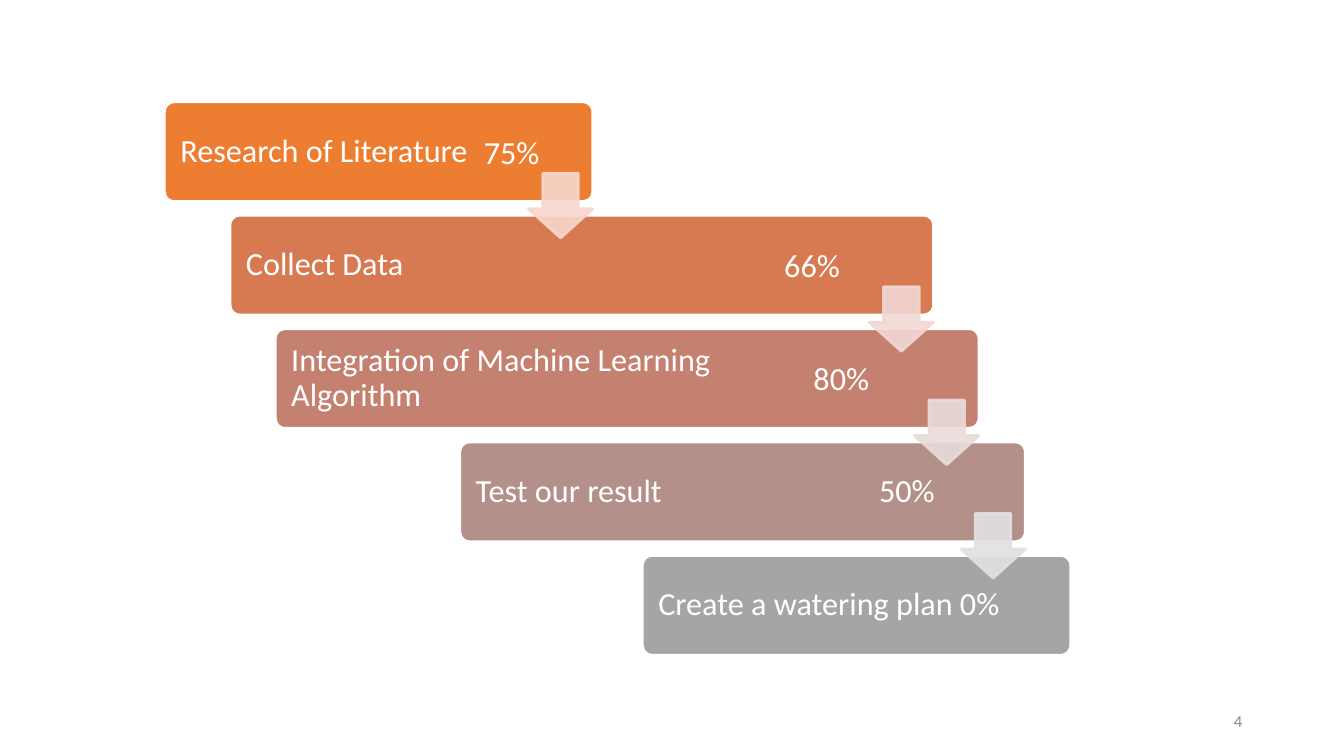
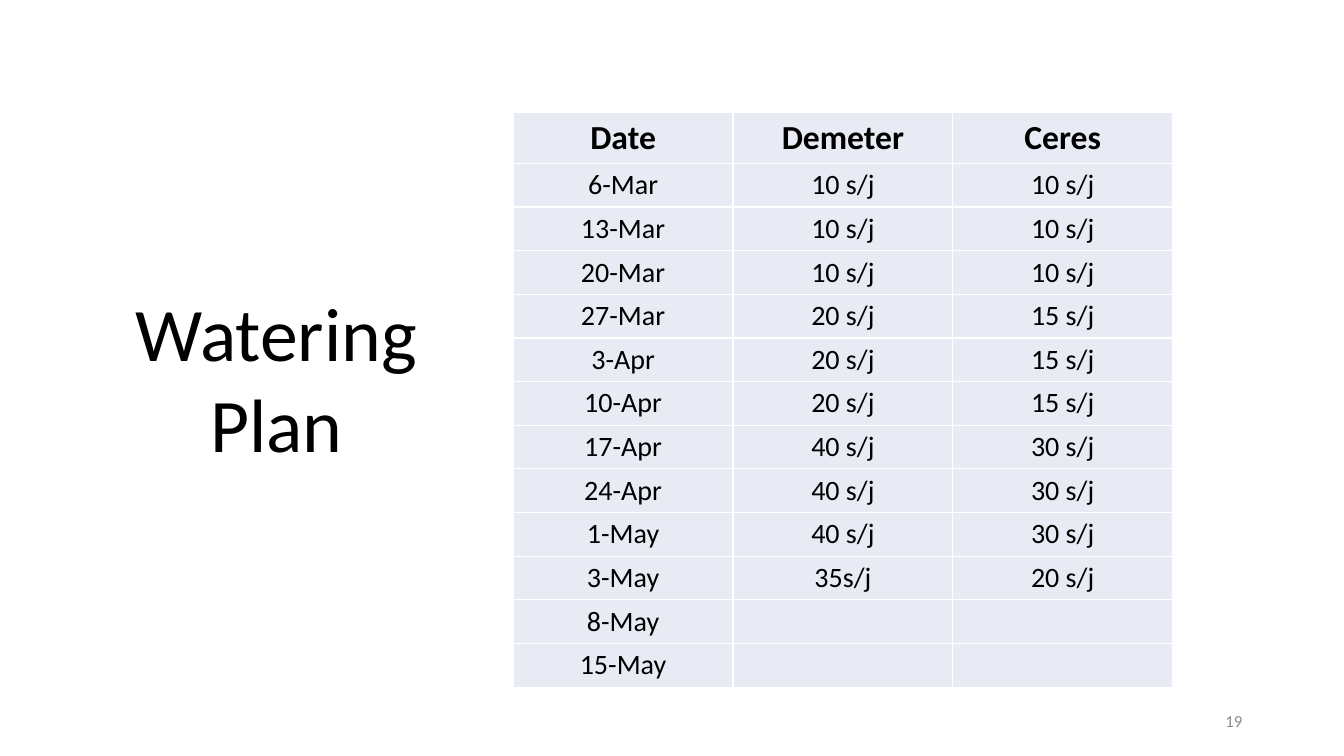
from lxml import etree
from pptx import Presentation
from pptx import util as u
from pptx.dml.color import RGBColor
from pptx.enum import shapes, text
from pptx.oxml.ns import qn

FONT = "Calibri"
COLORS = {
    "white": "FFFFFF", "black": "000000", "footer": "8B8B8B", "cell": "E8EBF4",
    "bar 1": "ED7D31", "bar 2": "D87A51", "bar 3": "C48170", "bar 4": "B4908B",
    "bar 5": "A5A5A5", "arrow 1": "F8D7CE", "arrow 2": "F1D8D4",
    "arrow 3": "E9DBDA", "arrow 4": "E1E1E1",
}
TITLE_ONLY, BLANK = 5, 6

FOOTER = {"size": 12, "color": "footer", "align": text.PP_ALIGN.RIGHT}
TITLE = {"size": 54, "color": "black", "align": text.PP_ALIGN.CENTER}
STEP = {"size": 23, "color": "white", "align": text.PP_ALIGN.LEFT}
HEADER = {"size": 24, "color": "black", "align": text.PP_ALIGN.CENTER, "bold": True}
BODY = {**HEADER, "size": 20, "bold": False}

BAR_TOP, BAR_HEIGHT, BAR_PITCH = 1.01, 0.99, 4.5 / 4
ARROW_SIZE, ARROW_DROP = 0.64, 0.71
PERCENT_DROP, PERCENT_TAB = 0.25, 4

# Wording, left, width, separate percentage with its left edge
STEPS = [
    ("Research of Literature", 1.63, 4.25, ("75%", 4.7)),
    ("Collect Data", 2.28, 6.98, ("66%", 7.68)),
    ("Integration of Machine Learning Algorithm", 2.73, 6.98, ("80%", 7.97)),
    ("Test our result\t50%", 4.56, 5.61, None),
    ("Create a watering plan 0%", 6.37, 4.25, None),
]

WATERING = [
    ("Date", "Demeter", "Ceres"),
    ("6-Mar", "10 s/j", "10 s/j"),
    ("13-Mar", "10 s/j", "10 s/j"),
    ("20-Mar", "10 s/j", "10 s/j"),
    ("27-Mar", "20 s/j", "15 s/j"),
    ("3-Apr", "20 s/j", "15 s/j"),
    ("10-Apr", "20 s/j", "15 s/j"),
    ("17-Apr", "40 s/j", "30 s/j"),
    ("24-Apr", "40 s/j", "30 s/j"),
    ("1-May", "40 s/j", "30 s/j"),
    ("3-May", "35s/j", "20 s/j"),
    ("8-May", "", ""),
    ("15-May", "", ""),
]


def rgb(name):
    return RGBColor.from_string(COLORS[name])


def inches(*lengths):
    return [u.Inches(length) for length in lengths]


def set_all(target, **values):
    for name, value in values.items():
        setattr(target, name, value)


def write(frame, wording, style):
    paragraph = frame.paragraphs[0]
    run = paragraph.add_run()
    run.text = wording
    paragraph.alignment = style["align"]
    set_all(run.font, name=FONT, size=u.Pt(style["size"]), bold=style.get("bold", False))
    run.font.color.rgb = rgb(style["color"])
    return paragraph


def add_text(slide, wording, box, style, **frame_format):
    frame = slide.shapes.add_textbox(*inches(*box)).text_frame
    set_all(frame, **{"word_wrap": True, **frame_format})
    write(frame, wording, style)


def add_slide_number(slide, number):
    add_text(slide, str(number), (9.42, 6.95, 3, 0.4), FOOTER,
             vertical_anchor=text.MSO_ANCHOR.MIDDLE)


def add_filled_shape(slide, kind, box, fill, line, adjustments):
    shape = slide.shapes.add_shape(kind, *inches(*box))
    shape.shadow.inherit = False
    for index, value in enumerate(adjustments):
        shape.adjustments[index] = value
    shape.fill.solid()
    shape.fill.fore_color.rgb = rgb(fill)
    shape.line.color.rgb = rgb(line)
    shape.line.width = u.Pt(2)
    return shape


def add_tab_stop(paragraph, position):
    tab_list = etree.SubElement(paragraph._p.get_or_add_pPr(), qn("a:tabLst"))
    etree.SubElement(tab_list, qn("a:tab"), pos=str(u.Inches(position)), algn="l")


def add_bar(slide, wording, box, color, right_inset):
    bar = add_filled_shape(slide, shapes.MSO_SHAPE.ROUNDED_RECTANGLE, box,
                           color, "white", [0.1])
    frame = bar.text_frame
    set_all(frame, word_wrap=True, vertical_anchor=text.MSO_ANCHOR.MIDDLE,
            margin_left=u.Inches(0.13), margin_right=u.Inches(right_inset))
    paragraph = write(frame, wording, STEP)
    if "\t" in wording:
        add_tab_stop(paragraph, PERCENT_TAB)
    paragraph.line_spacing = 0.9


def add_arrow(slide, left, top, color):
    """Add a slightly transparent arrow that leads to the next bar."""
    arrow = add_filled_shape(slide, shapes.MSO_SHAPE.DOWN_ARROW,
                             (left, top, ARROW_SIZE, ARROW_SIZE),
                             color, color, [0.55, 0.45])
    for paint in arrow._element.spPr.iter(qn("a:srgbClr")):
        etree.SubElement(paint, qn("a:alpha"), val="90000")


def add_borders(cell):
    properties = cell._tc.get_or_add_tcPr()
    for side in ("lnL", "lnR", "lnT", "lnB"):
        line = etree.SubElement(properties, qn("a:" + side), w=str(u.Pt(1)))
        fill = etree.SubElement(line, qn("a:solidFill"))
        etree.SubElement(fill, qn("a:srgbClr"), val=COLORS["white"])


def add_table(slide, rows, left, top, column_width, row_heights):
    table = slide.shapes.add_table(
        len(rows), len(rows[0]),
        *inches(left, top, column_width * len(rows[0]), sum(row_heights))).table
    set_all(table, first_row=False, horz_banding=False)
    for column in table.columns:
        column.width = u.Inches(column_width)
    for row_index, (row, height) in enumerate(zip(rows, row_heights)):
        table.rows[row_index].height = u.Inches(height)
        for column_index, wording in enumerate(row):
            cell = table.cell(row_index, column_index)
            add_borders(cell)
            cell.fill.solid()
            cell.fill.fore_color.rgb = rgb("cell")
            set_all(cell, vertical_anchor=text.MSO_ANCHOR.MIDDLE,
                    margin_left=u.Inches(0.01), margin_right=u.Inches(0.01),
                    margin_top=u.Inches(0.04), margin_bottom=u.Inches(0.04))
            if wording:
                write(cell.text_frame, wording, BODY if row_index else HEADER)


def set_title(slide, wording, box):
    title = slide.shapes.title
    set_all(title, **dict(zip(("left", "top", "width", "height"), inches(*box))))
    set_all(title.text_frame, word_wrap=True, auto_size=text.MSO_AUTO_SIZE.NONE,
            vertical_anchor=text.MSO_ANCHOR.TOP)
    write(title.text_frame, wording, TITLE)


def build_progress(slide):
    add_slide_number(slide, 4)
    tops = [BAR_TOP + BAR_PITCH * index for index in range(len(STEPS))]
    for number, (top, step) in enumerate(zip(tops, STEPS), 1):
        wording, left, width, percent = step
        right_inset = left + width - percent[1] if percent else 0.1
        add_bar(slide, wording, (left, top, width, BAR_HEIGHT),
                f"bar {number}", right_inset)
    for number, (top, step) in enumerate(zip(tops, STEPS[:-1]), 1):
        _, left, width, percent = step
        add_arrow(slide, left + width - ARROW_SIZE, top + ARROW_DROP, f"arrow {number}")
        if percent:
            add_text(slide, percent[0], (percent[1], top + PERCENT_DROP, 0.76, 0.49),
                     STEP, word_wrap=False)


def build_watering_plan(slide):
    add_slide_number(slide, 19)
    body_rows = len(WATERING) - 1
    add_table(slide, WATERING, 5.09, 1.12, 2.18, [0.5] + [5.2 / body_rows] * body_rows)
    set_title(slide, "Watering Plan", (0.91, 2.79, 3.66, 1.9))


def main():
    presentation = Presentation()
    set_all(presentation, slide_width=u.Inches(13.33), slide_height=u.Inches(7.5))
    for layout, build in ((BLANK, build_progress), (TITLE_ONLY, build_watering_plan)):
        build(presentation.slides.add_slide(presentation.slide_layouts[layout]))
    presentation.save("out.pptx")


if __name__ == "__main__":
    main()
